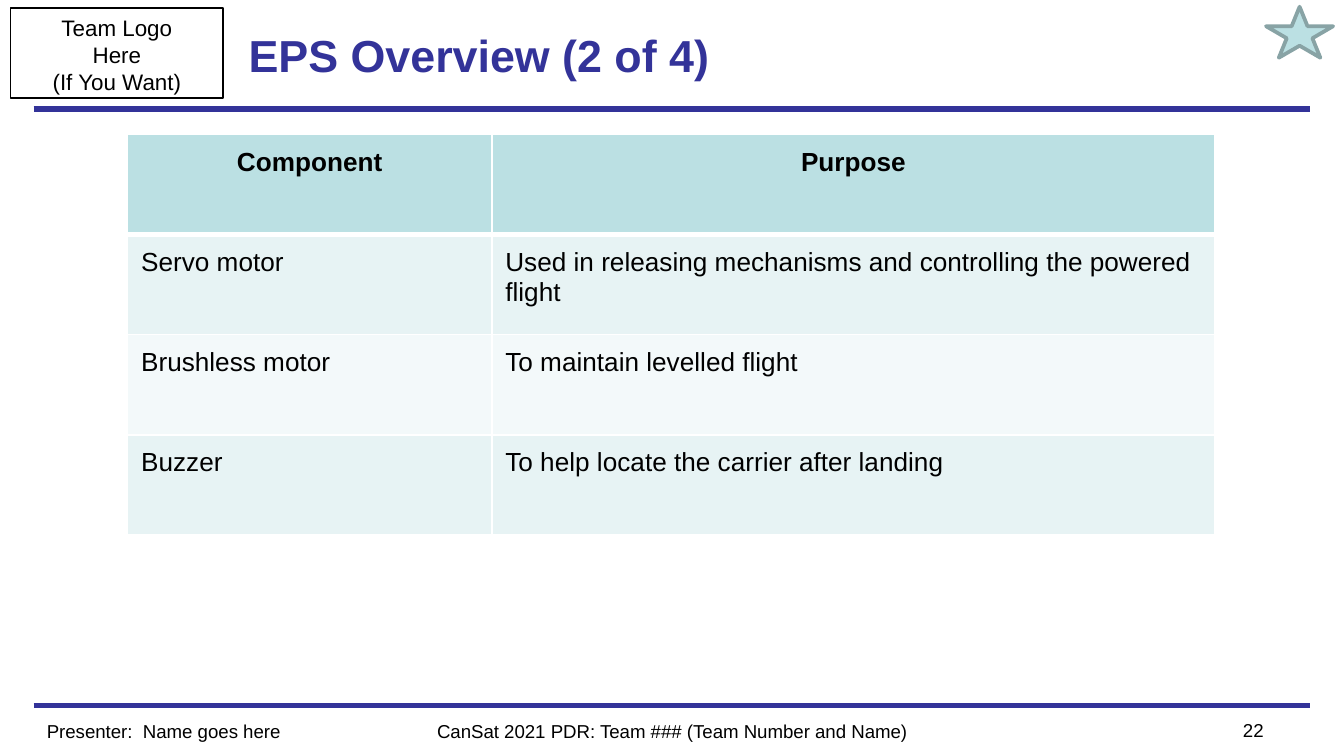
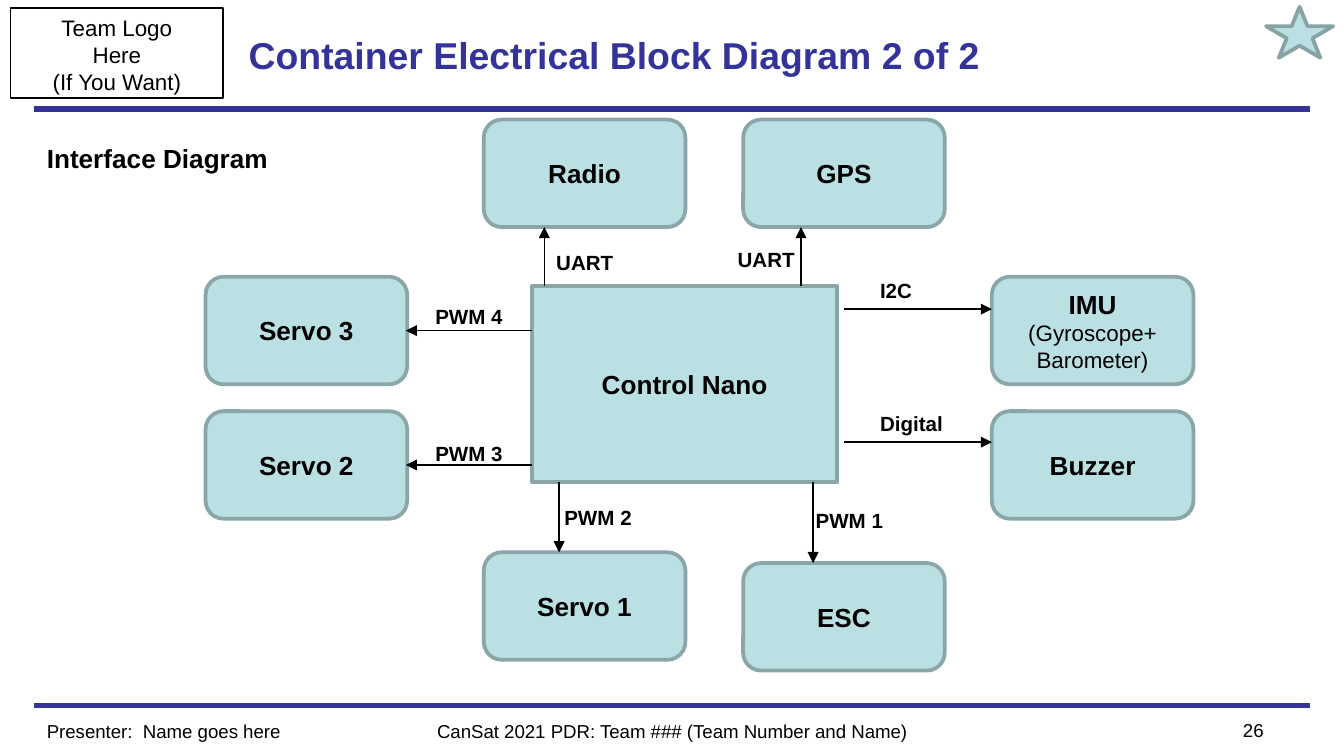
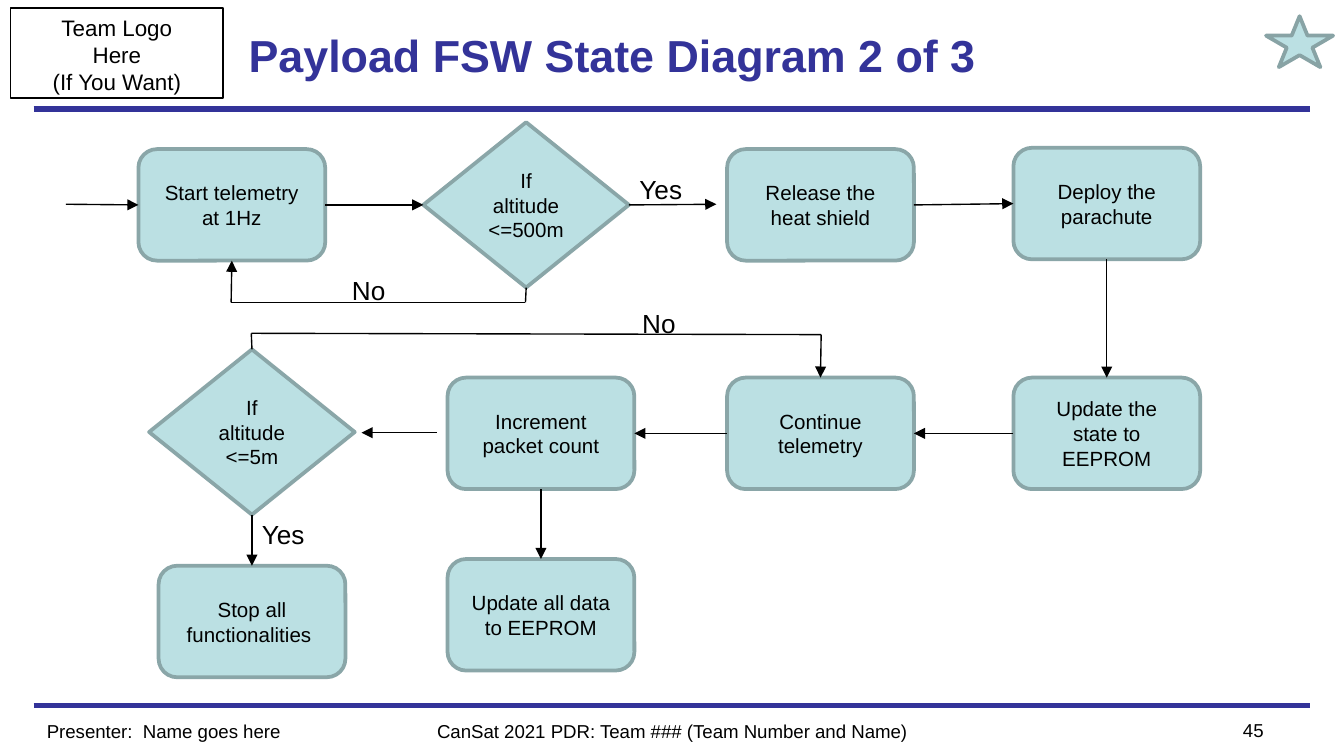
from pptx import Presentation
from pptx.dml.color import RGBColor
from pptx.enum.shapes import MSO_CONNECTOR, MSO_SHAPE as SHAPE
from pptx.enum.text import MSO_ANCHOR as ANCHOR, MSO_AUTO_SIZE as AUTO, PP_ALIGN as ALIGN
from pptx.oxml import parse_xml
from pptx.oxml.ns import nsdecls, qn
from pptx.util import Inches, Pt

NAVY = RGBColor(0x33, 0x33, 0x99)
BLACK = RGBColor(0, 0, 0)
WHITE = RGBColor(0xFF, 0xFF, 0xFF)
TEAL = RGBColor(0xBB, 0xE0, 0xE3)
TEAL_EDGE = RGBColor(0x8A, 0xA6, 0xA8)
STAR_EDGE = RGBColor(0x88, 0xA3, 0xA5)
BANDS = [RGBColor(0xE7, 0xF3, 0xF4), RGBColor(0xF3, 0xF9, 0xFA)]
FONT = "Arial"
SLIDE_WIDTH = 10

LOGO_LINES = ["Team Logo", "Here", "(If You Want)"]
PRESENTER = "Presenter:  Name goes here"
EVENT = "CanSat 2021 PDR: Team ### (Team Number and Name)"

COMPONENTS = [
    ("Component", "Purpose"),
    ("Servo motor", "Used in releasing mechanisms and controlling the powered flight"),
    ("Brushless motor", "To maintain levelled flight"),
    ("Buzzer", "To help locate the carrier after landing"),
]
COLUMN_WIDTHS = [2.71, 5.38]
TABLE_HEIGHT = 2.98

SMALL = {"size": 12, "bold": False}
CONTROLLER = ("Control Nano", 3.96, 2.13, 2.27, 1.46)
DEVICE_SIZE = (1.5, 0.8)
DEVICES = [  # text, left, top
    (["Radio"], 3.6, 0.89),
    (["GPS"], 5.53, 0.89),
    (["IMU", ("(Gyroscope+", SMALL), ("Barometer)", SMALL)], 7.38, 2.06),
    (["Buzzer"], 7.38, 3.06),
    (["Servo 3"], 1.53, 2.06),
    (["Servo 2"], 1.53, 3.06),
    (["Servo 1"], 3.6, 4.11),
    (["ESC"], 5.53, 4.19),
]
SIGNALS = [  # label, label left, label top, label width, from, to
    ("UART", 4.04, 1.81, 0.63, (4.05, 2.13), (4.05, 1.69)),
    ("UART", 5.39, 1.79, 0.63, (5.96, 2.13), (5.96, 1.69)),
    ("I2C", 6.45, 2.02, 0.44, (6.28, 2.3), (7.38, 2.3)),
    ("Digital", 6.45, 3.01, 0.67, (6.28, 3.29), (7.38, 3.29)),
    ("PWM 1", 5.97, 3.73, 0.71, (6.05, 3.59), (6.05, 4.19)),
    ("PWM 2", 4.1, 3.71, 0.71, (4.16, 3.59), (4.16, 4.11)),
    ("PWM 3", 3.14, 3.23, 0.71, (3.96, 3.46), (3.02, 3.46)),
    ("PWM 4", 3.14, 2.21, 0.71, (3.96, 2.46), (3.02, 2.46)),
]

STEP_SIZE = (1.39, 0.83)
CHECK_SIZE = (1.53, 1.23)
STEPS = {  # name: text, left, top
    "start": ("Start telemetry at 1Hz", 1.03, 1.11),
    "release": ("Release the heat shield", 5.41, 1.11),
    "deploy": ("Deploy the parachute", 7.54, 1.1),
    "state": ("Update the state to EEPROM", 7.54, 2.81),
    "continue": ("Continue telemetry", 5.41, 2.81),
    "count": ("Increment packet count", 3.33, 2.81),
    "data": ("Update all data to EEPROM", 3.33, 4.16),
    "stop": ("Stop all functionalities ", 1.18, 4.21),
}
CHECKS = {
    "high": ("If altitude<=500m", 3.15, 0.91),
    "low": ("If altitude<=5m", 1.11, 2.6),
}
TOP, LEFT, BOTTOM, RIGHT = range(4)
# Each route is a chain of points: (x, y) or (name, side)
ROUTES = [
    [(0.49, 1.52), ("start", LEFT)],
    [("start", RIGHT), ("high", LEFT)],
    [("high", RIGHT), (5.33, 1.52)],
    [("release", RIGHT), ("deploy", LEFT)],
    [("deploy", BOTTOM), ("state", TOP)],
    [("state", LEFT), ("continue", RIGHT)],
    [("continue", LEFT), ("count", RIGHT)],
    [(3.25, 3.22), (2.69, 3.22)],
    [("count", BOTTOM), ("data", TOP)],
    [("low", BOTTOM), ("stop", TOP)],
    [("high", BOTTOM), (3.91, 2.25), (1.72, 2.25), ("start", BOTTOM)],
    [("low", TOP), (1.87, 2.48), (6.11, 2.49), ("continue", TOP)],
]
ANSWERS = [  # text, left, top, width
    ("Yes", 4.66, 1.24, 0.54),
    ("No", 2.52, 1.99, 0.45),
    ("No", 4.68, 2.24, 0.45),
    ("Yes", 1.85, 3.81, 0.54),
]


def write(tf, lines, size=14, bold=False, color=BLACK, align=ALIGN.LEFT,
          anchor=ANCHOR.TOP, wrap=True):
    """Fill a text frame; a line is a string or (string, its own format)."""
    tf.word_wrap, tf.vertical_anchor = wrap, anchor
    for i, line in enumerate([lines] if isinstance(lines, str) else lines):
        text, own = (line, {}) if isinstance(line, str) else line
        p = tf.paragraphs[0] if i == 0 else tf.add_paragraph()
        p.alignment = align
        r = p.add_run()
        r.text = text
        r.font.name = FONT
        r.font.size = Pt(own.get("size", size))
        r.font.bold = own.get("bold", bold)
        r.font.color.rgb = color


def add_text(s, text, x, y, w, h, **fmt):
    box = s.shapes.add_textbox(*map(Inches, (x, y, w, h)))
    write(box.text_frame, text, **fmt)


def add_box(s, kind, x, y, w, h, text=None, fill=TEAL, edge=TEAL_EDGE, width=2, **fmt):
    sp = s.shapes.add_shape(kind, *map(Inches, (x, y, w, h)))
    sp.shadow.inherit = False
    if fill is None:
        sp.fill.background()
    else:
        sp.fill.solid()
        sp.fill.fore_color.rgb = fill
    sp.line.color.rgb = edge
    sp.line.width = Pt(width)
    if text:
        write(sp.text_frame, text, **{"align": ALIGN.CENTER, "anchor": ANCHOR.MIDDLE, **fmt})
    return sp


def add_line(s, start, end, color=BLACK, width=0.75, arrow=False):
    line = s.shapes.add_connector(MSO_CONNECTOR.STRAIGHT, *map(Inches, (*start, *end)))
    line.line.color.rgb = color
    line.line.width = Pt(width)
    sp_pr = line._element.spPr
    if arrow:
        sp_pr.find(qn("a:ln")).append(
            parse_xml(f'<a:tailEnd {nsdecls("a")} type="triangle"/>'))
    sp_pr.append(parse_xml(f'<a:effectLst {nsdecls("a")}/>'))
    return line


def add_page(prs, title, number, title_size=24, star_top=0.05):
    """Add a slide with the shared rules, logo box, star, title and footer."""
    s = prs.slides.add_slide(prs.slide_layouts[5])
    for y in (5.25, 0.81):
        add_line(s, (0.25, y), (9.75, y), NAVY, 3)
    add_box(s, SHAPE.RECTANGLE, 0.08, 0.06, 1.58, 0.67, LOGO_LINES, fill=None,
            edge=BLACK, width=0.75, size=12, anchor=ANCHOR.TOP)
    add_text(s, EVENT, 3, 5.31, 4, 0.2, size=10, align=ALIGN.CENTER)
    add_text(s, str(number), 8.75, 5.3, 0.75, 0.2, size=10, align=ALIGN.RIGHT)
    add_text(s, PRESENTER, 0.25, 5.31, 2.5, 0.2, size=10)
    t = s.shapes.title
    t.left, t.top, t.width, t.height = map(Inches, (1.75, 0.06, 6.5, 0.69))
    t.text_frame.auto_size = AUTO.NONE
    write(t.text_frame, title, size=title_size, bold=True, color=NAVY, anchor=ANCHOR.MIDDLE)
    add_box(s, SHAPE.STAR_5_POINT, 9.42, star_top, 0.5, 0.38, edge=STAR_EDGE)
    return s


def set_borders(cell, bottom):
    """Draw white cell borders; they must stand before the fill."""
    sides = {"lnL": 1, "lnR": 1, "lnT": 1, "lnB": bottom}
    for i, (tag, width) in enumerate(sides.items()):
        cell._tc.get_or_add_tcPr().insert(i, parse_xml(
            f'<a:{tag} {nsdecls("a")} w="{Pt(width)}"><a:solidFill>'
            f'<a:srgbClr val="{WHITE}"/></a:solidFill></a:{tag}>'))


def add_components(s):
    rows, cols = len(COMPONENTS), len(COLUMN_WIDTHS)
    table = s.shapes.add_table(rows, cols, *map(Inches, (
        0.95, 1, sum(COLUMN_WIDTHS), TABLE_HEIGHT))).table
    for col, width in zip(table.columns, COLUMN_WIDTHS):
        col.width = Inches(width)
    for i, row in enumerate(COMPONENTS):
        header = i == 0
        for j, text in enumerate(row):
            cell = table.cell(i, j)
            cell.margin_left = cell.margin_right = Inches(0.1)
            cell.margin_top = cell.margin_bottom = Inches(0.1)
            cell.fill.solid()
            cell.fill.fore_color.rgb = TEAL if header else BANDS[(i - 1) % 2]
            set_borders(cell, 3 if header else 1)
            write(cell.text_frame, text, bold=header,
                  align=ALIGN.CENTER if header else ALIGN.LEFT)


def add_block_diagram(s):
    add_text(s, "Interface Diagram", 0.25, 1.01, 1.86, 0.34, bold=True, wrap=False)
    name, *place = CONTROLLER
    add_box(s, SHAPE.RECTANGLE, *place, name, bold=True)
    for lines, x, y in DEVICES:
        add_box(s, SHAPE.ROUNDED_RECTANGLE, x, y, *DEVICE_SIZE, lines, bold=True)
    for label, x, y, w, start, end in SIGNALS:
        add_line(s, start, end, arrow=True)
        add_text(s, label, x, y, w, 0.29, size=11, bold=True, wrap=False)


def add_state_diagram(s):
    nodes = {}
    for group, kind, size in ((STEPS, SHAPE.ROUNDED_RECTANGLE, STEP_SIZE),
                              (CHECKS, SHAPE.DIAMOND, CHECK_SIZE)):
        for name, (text, x, y) in group.items():
            nodes[name] = add_box(s, kind, x, y, *size, text, size=11)
    for route in ROUTES:
        for start, end in zip(route, route[1:]):
            glued = [isinstance(point[0], str) for point in (start, end)]
            line = add_line(s, (0, 0) if glued[0] else start, (0, 0) if glued[1] else end,
                            arrow=end is route[-1])
            if glued[0]:
                line.begin_connect(nodes[start[0]], start[1])
            if glued[1]:
                line.end_connect(nodes[end[0]], end[1])
    for text, x, y, w in ANSWERS:
        add_text(s, text, x, y, w, 0.34, wrap=False)


def main():
    prs = Presentation()
    prs.slide_width, prs.slide_height = Inches(SLIDE_WIDTH), Inches(SLIDE_WIDTH * 9 / 16)
    add_components(add_page(prs, "EPS Overview (2 of 4)", 22))
    add_block_diagram(add_page(prs, "Container Electrical Block Diagram 2 of 2", 26,
                               title_size=20))
    add_state_diagram(add_page(prs, "Payload FSW State Diagram 2 of 3", 45, star_top=0.12))
    prs.save("out.pptx")


if __name__ == "__main__":
    main()
